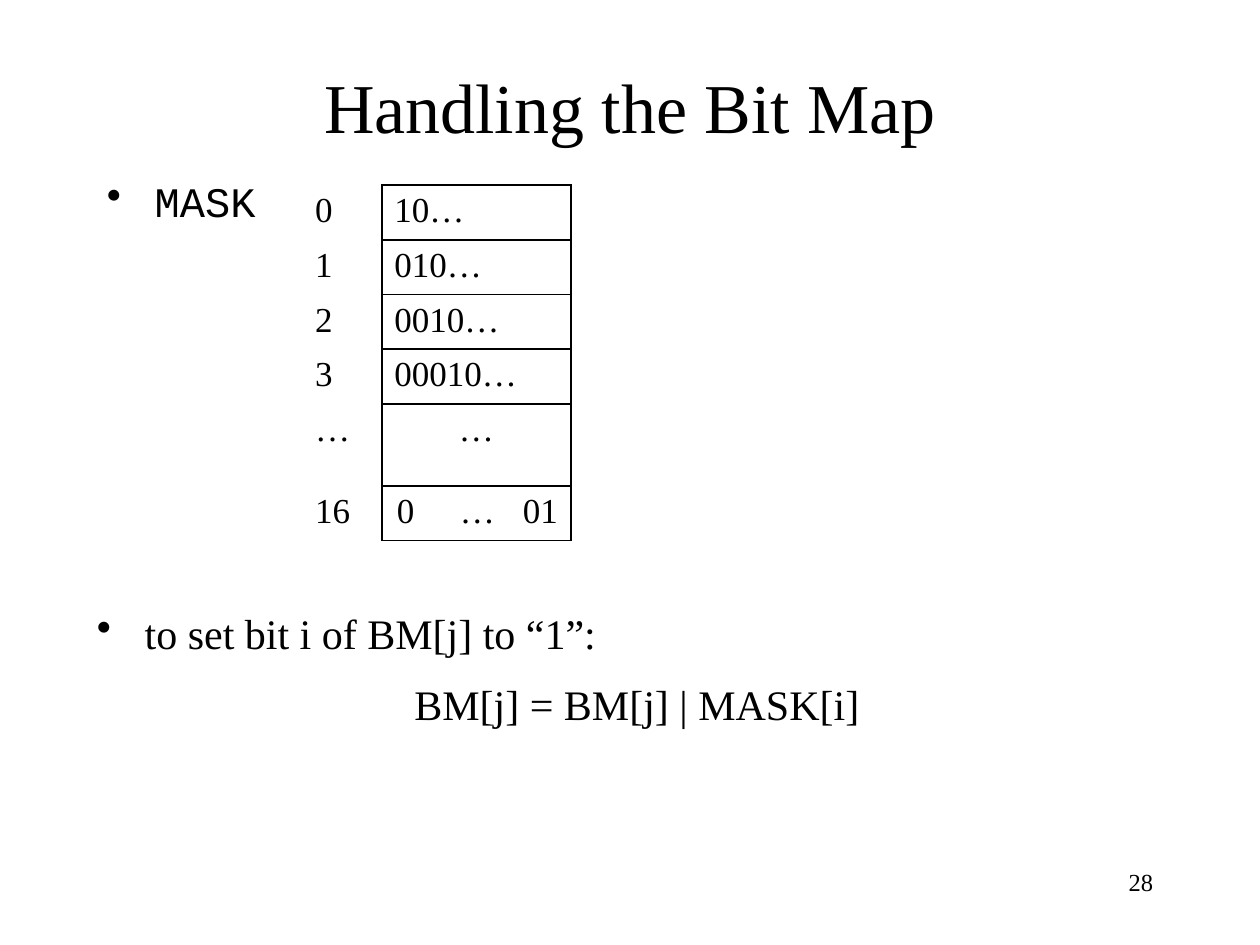
from pptx import Presentation
from pptx.dml.color import RGBColor as Rgb
from pptx.enum.text import MSO_ANCHOR as Anchor, PP_ALIGN as Align
from pptx.oxml import parse_xml
from pptx.oxml.ns import nsdecls
from pptx.util import Inches as In, Pt

INK = "000000"
SERIF, MONO = "Times New Roman", "Courier New"
NS = nsdecls("a")


def write(para, text, size, font=SERIF, align=Align.LEFT, gap=0, lines=None,
          left=0, hang=0, bullet=False, tabs=()):
    """Fill one paragraph; gap is the space before, in percent."""
    para.alignment = align
    run = para.add_run()
    run.text = text
    look = {"size": Pt(size), "name": font}
    for key, value in look.items():
        setattr(run.font, key, value)
    run.font.color.rgb = Rgb.from_string(INK)
    props = para._p.get_or_add_pPr()
    props.set("marL", str(In(left)))
    props.set("indent", str(In(hang)))
    if lines:
        para.line_spacing = lines
    parts = []
    if gap:
        parts.append(f'<a:spcBef {NS}><a:spcPct val="{gap * 1000}"/></a:spcBef>')
    parts.append(f'<a:buChar {NS} char="•"/>' if bullet else f"<a:buNone {NS}/>")
    if tabs:
        stops = "".join(f'<a:tab pos="{In(t)}" algn="l"/>' for t in tabs)
        parts.append(f"<a:tabLst {NS}>{stops}</a:tabLst>")
    for part in parts:
        props.append(parse_xml(part))


def box(left, top, width, height, anchor=Anchor.TOP):
    """Add a wrapping text box and return its text frame."""
    frame = slide.shapes.add_textbox(In(left), In(top), In(width), In(height)).text_frame
    frame.word_wrap = True
    frame.vertical_anchor = anchor
    return frame


deck = Presentation()
deck.slide_width, deck.slide_height = In(10), In(7.5)
slide = deck.slides.add_slide(deck.slide_layouts[6])

# Title, first bullet and page number
write(box(0.75, 0.42, 8.5, 0.83, Anchor.MIDDLE).paragraphs[0],
      "Handling the Bit Map", 40, align=Align.CENTER)
write(box(0.75, 1.42, 8.27, 0.44).paragraphs[0], "MASK", 24, MONO,
      gap=20, lines=0.8, left=0.38, hang=-0.38, bullet=True)
write(box(7.17, 6.83, 2.08, 0.5).paragraphs[0], "28", 14, align=Align.RIGHT)

# Mask table: index beside a boxed bit pattern
masks = [("0", "10…"), ("1", "010…"), ("2", "0010…"), ("3", "00010…"),
         ("…", "…"), ("16", "0\t…\t01")]
cols = [0.63, 1.5]
rows = [0.43] * 4 + [0.65, 0.43]
table = slide.shapes.add_table(len(rows), len(cols), In(2.4), In(1.47),
                               In(sum(cols)), In(sum(rows))).table
table.first_row = table.horz_banding = False
for col, width in zip(table.columns, cols):
    col.width = In(width)
for r, (pair, height) in enumerate(zip(masks, rows)):
    table.rows[r].height = In(height)
    for c, text in enumerate(pair):
        cell = table.cell(r, c)
        form = {}
        if c and text == "…":
            form = {"align": Align.CENTER}
        elif "\t" in text:
            form = {"left": 0.02, "tabs": (0.45, 0.99)}
        write(cell.text_frame.paragraphs[0], text, 20, gap=20, **form)
        props = cell._tc.get_or_add_tcPr()
        for side in "LRTB":
            if c or side == "R":
                paint = f'<a:solidFill><a:srgbClr val="{INK}"/></a:solidFill>'
            else:
                paint = "<a:noFill/>"
            props.append(parse_xml(f'<a:ln{side} {NS} w="{Pt(1)}">{paint}</a:ln{side}>'))
        cell.fill.background()

# Rule for setting a bit
rule = box(0.67, 4.77, 8.27, 1.73)
write(rule.paragraphs[0], "to set bit i of BM[j] to “1”:", 24,
      gap=50, left=0.38, hang=-0.38, bullet=True)
code = rule.add_paragraph()
code.level = 1
write(code, "BM[j] = BM[j] | MASK[i]", 24, align=Align.CENTER,
      gap=50, left=0.81, hang=-0.31)

deck.save("out.pptx")
